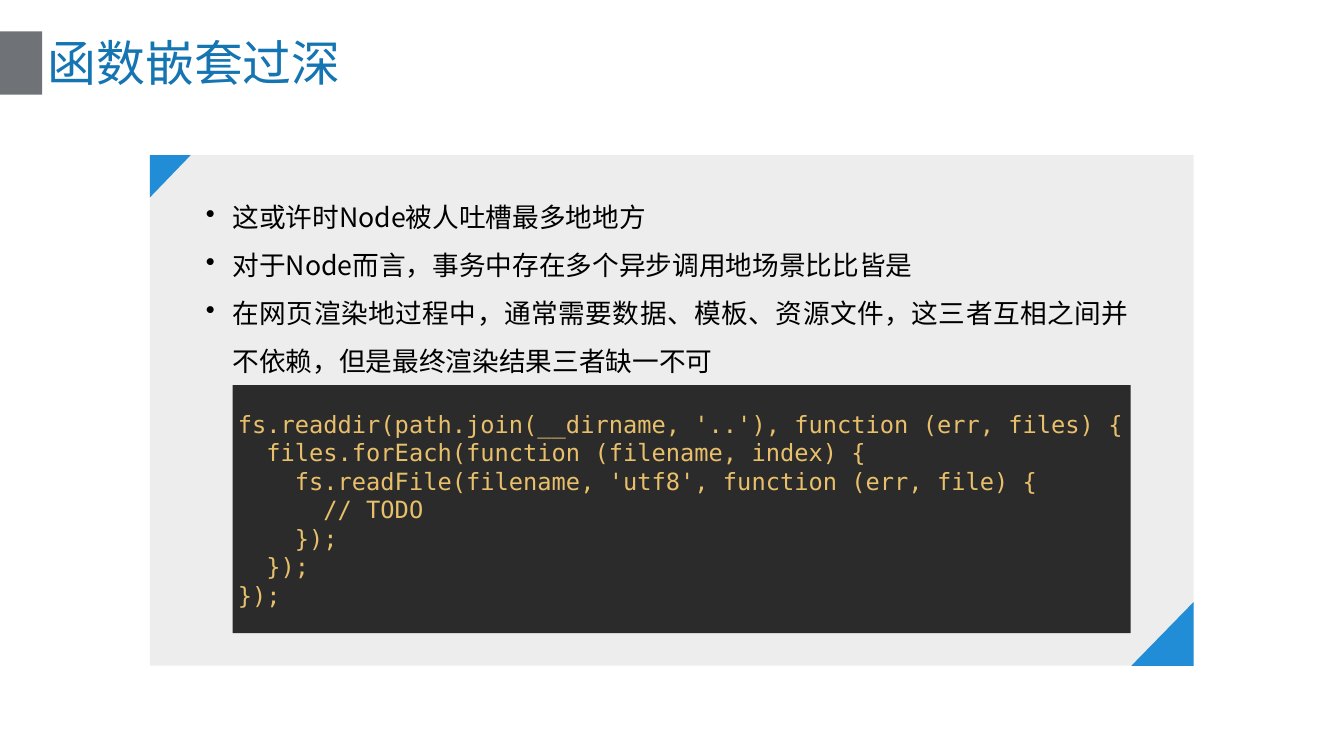
from dataclasses import dataclass

from lxml import etree
from pptx import Presentation
from pptx.dml.color import RGBColor
from pptx.enum.shapes import MSO_SHAPE
from pptx.enum.text import MSO_ANCHOR, PP_ALIGN
from pptx.oxml.ns import qn
from pptx.util import Pt

RECTANGLE, TRIANGLE = MSO_SHAPE.RECTANGLE, MSO_SHAPE.ISOSCELES_TRIANGLE
MIDDLE, TOP = MSO_ANCHOR.MIDDLE, MSO_ANCHOR.TOP
LEFT, JUSTIFY = PP_ALIGN.LEFT, PP_ALIGN.JUSTIFY


@dataclass(frozen=True)
class Theme:
    """Colours, fonts and type sizes of the slide."""
    marker: str = "6F7378"
    heading: str = "1475B2"
    panel: str = "EDEDED"
    corner: str = "218DD6"
    body: str = "000000"
    code_back: str = "2B2B2B"
    code: str = "E8BF6A"
    text_font: str = "Noto Sans CJK SC"
    code_font: str = "DejaVu Sans Mono"
    heading_size: int = 66
    body_size: int = 36
    code_size: int = 32


THEME = Theme()
HEADING = "函数嵌套过深"
POINTS = [
    "这或许时Node被人吐槽最多地地方",
    "对于Node而言，事务中存在多个异步调用地场景比比皆是",
    "在网页渲染地过程中，通常需要数据、模板、资源文件，这三者互相之间并不依赖，但是最终渲染结果三者缺一不可",
]
CODE = """fs.readdir(path.join(__dirname, '..'), function (err, files) {
  files.forEach(function (filename, index) {
    fs.readFile(filename, 'utf8', function (err, file) {
      // TODO
    });
  });
});""".split("\n")


def apply(target, formats):
    """Set every attribute named in formats on target."""
    for name, value in formats.items():
        setattr(target, name, value)


def add_block(slide, kind, box, color):
    """Add a plain filled shape without outline or shadow."""
    block = slide.shapes.add_shape(kind, *map(Pt, box))
    block.shadow.inherit = False
    block.fill.solid()
    block.fill.fore_color.rgb = RGBColor.from_string(color)
    block.line.fill.background()
    return block


def write(frame, lines, font, size, color, frame_format, line_format):
    """Write one paragraph per line in a single type style."""
    apply(frame, {"word_wrap": True, **frame_format})
    for index, line in enumerate(lines):
        paragraph = frame.paragraphs[0] if index == 0 else frame.add_paragraph()
        apply(paragraph, line_format)
        run = paragraph.add_run()
        run.text = line
        apply(run.font, {"name": font, "size": Pt(size)})
        run.font.color.rgb = RGBColor.from_string(color)
        etree.SubElement(run.font._element, qn("a:ea"), typeface=font)


def add_bullet(paragraph, indent):
    """Give a paragraph a round bullet with a hanging indent."""
    properties = paragraph._p.get_or_add_pPr()
    properties.set("marL", str(Pt(indent)))
    properties.set("indent", str(-Pt(indent)))
    etree.SubElement(properties, qn("a:buChar"), char="•")


def draw_header(slide, box):
    """Draw the grey marker and the heading beside it."""
    left, top, width, height = box
    marker_width = 57
    add_block(slide, RECTANGLE, (left, top, marker_width, height), THEME.marker)
    heading = slide.shapes.add_textbox(
        *map(Pt, (left + marker_width, top - 1, width - marker_width, height)))
    write(heading.text_frame, [HEADING], THEME.text_font, THEME.heading_size,
          THEME.heading, {"vertical_anchor": MIDDLE}, {"alignment": LEFT})


def draw_points(slide, box):
    """Draw the bulleted points."""
    points = slide.shapes.add_textbox(*map(Pt, box))
    sides = ("margin_left", "margin_top", "margin_right", "margin_bottom")
    write(points.text_frame, POINTS, THEME.text_font, THEME.body_size, THEME.body,
          {"vertical_anchor": TOP, **dict.fromkeys(sides, Pt(3.6))},
          {"alignment": JUSTIFY, "line_spacing": 1.5})
    for paragraph in points.text_frame.paragraphs:
        add_bullet(paragraph, 36)


def draw_code(slide, box):
    """Draw the dark code listing."""
    listing = add_block(slide, RECTANGLE, box, THEME.code_back)
    write(listing.text_frame, CODE, THEME.code_font, THEME.code_size, THEME.code,
          {"vertical_anchor": MIDDLE}, {"alignment": LEFT})


def draw_corner(slide, box, rotation):
    """Draw a corner triangle, turned a quarter, that fills the box."""
    left, top, width, height = box
    shift = (width - height) / 2
    corner = add_block(slide, TRIANGLE, (left + shift, top - shift, height, width),
                       THEME.corner)
    corner.adjustments[0] = 0
    corner.rotation = rotation


def draw_panel(slide, box):
    """Draw the light panel with its points, code and two corners."""
    left, top, width, height = box
    add_block(slide, RECTANGLE, box, THEME.panel)
    draw_points(slide, (left + 72, top + 36.7, 1253.5, 334))
    draw_code(slide, (left + 111.6, top + 310.3, 1212.5, 334.8))
    draw_corner(slide, (left, top, 55, 57), 90)
    draw_corner(slide, (left + width - 84, top + height - 86, 84, 86), 270)


def main():
    """Build and save the slide."""
    deck = Presentation()
    apply(deck, {"slide_width": Pt(1814.4), "slide_height": Pt(1020.24)})
    slide = deck.slides.add_slide(deck.slide_layouts[6])
    draw_header(slide, (0, 42.3, 1757.5, 85.5))
    draw_panel(slide, (202.3, 209.5, 1409, 689))
    deck.save("out.pptx")


main()
